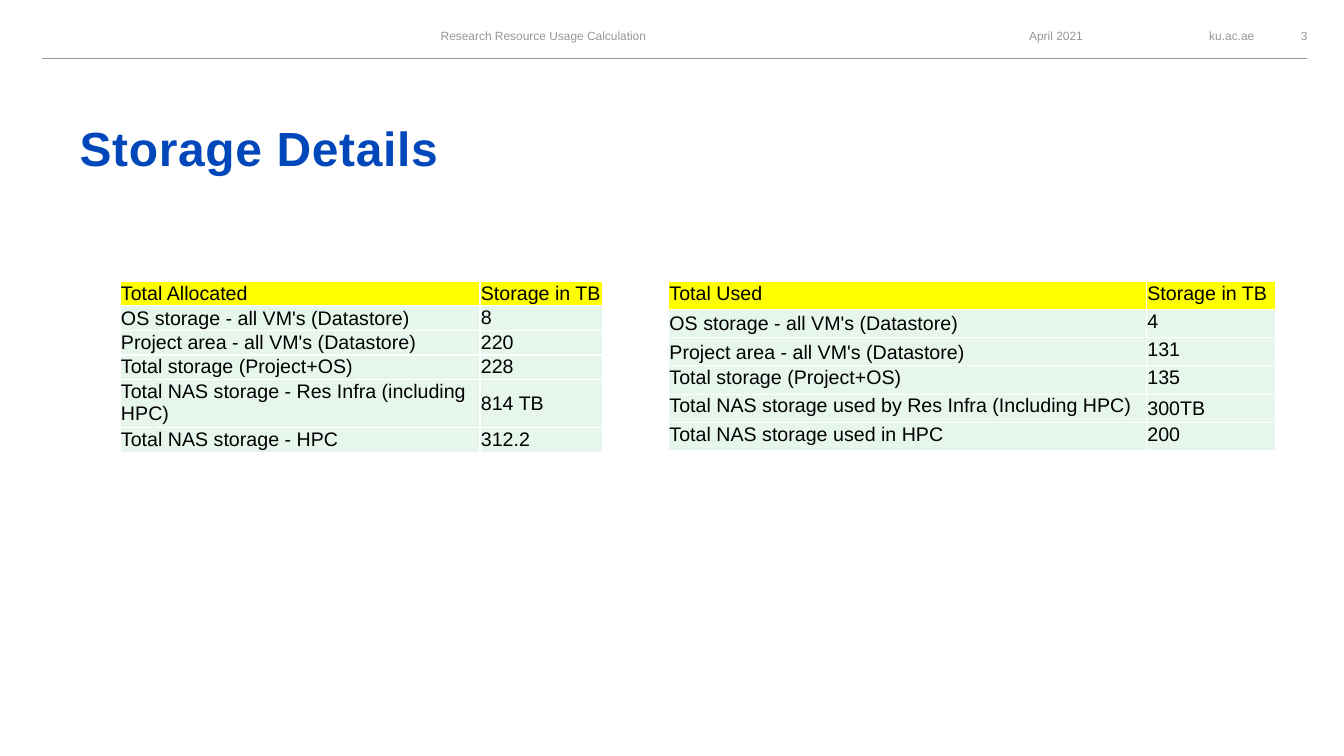
from lxml import etree
from pptx import Presentation
from pptx.dml.color import RGBColor
from pptx.enum.shapes import MSO_CONNECTOR
from pptx.enum.text import MSO_ANCHOR, PP_ALIGN
from pptx.oxml.ns import qn
from pptx.util import Inches, Pt

LEFT, CENTER, RIGHT = PP_ALIGN.LEFT, PP_ALIGN.CENTER, PP_ALIGN.RIGHT
TOP, MIDDLE, BOTTOM = MSO_ANCHOR.TOP, MSO_ANCHOR.MIDDLE, MSO_ANCHOR.BOTTOM
STRAIGHT = MSO_CONNECTOR.STRAIGHT

# Content
TITLE = "Storage Details"
HEADER = [  # text, left, width, alignment
    ("ku.ac.ae", 11.39, 1.05, RIGHT),
    ("April 2021", 8.84, 1.9, RIGHT),
    ("Research Resource Usage Calculation", 3.14, 4.5, CENTER),
    ("3", 12.65, 0.57, CENTER),
]
TABLES = [
    {
        "left": 1.19, "columns": (3.57, 1.22), "row_height": 0.2,
        "rows": [
            ("Total Allocated", "Storage in TB"),
            ("OS storage - all VM's (Datastore)", "8"),
            ("Project area - all VM's (Datastore)", "220"),
            ("Total storage (Project+OS)", "228"),
            ("Total NAS storage - Res Infra (including HPC)", "814 TB"),
            ("Total NAS storage - HPC", "312.2"),
        ],
    },
    {
        "left": 6.63, "columns": (4.74, 1.28), "row_height": 0.28,
        "rows": [
            ("Total Used", "Storage in TB"),
            ("OS storage - all VM's (Datastore)", "4"),
            ("Project area - all VM's (Datastore)", "131"),
            ("Total storage (Project+OS)", "135"),
            ("Total NAS storage used by Res Infra (Including HPC)", "300TB"),
            ("Total NAS storage used in HPC", "200"),
        ],
    },
]
TABLE_TOP = 2.79
MIDDLE_CELLS = {(1, 0), (2, 0), (4, 1)}  # row, column

THEME = {
    "font": "Arial",
    "blue": "0047BA", "gray": "96969A", "black": "000000",
    "border": "FFFFFF", "head_fill": "FFFF00", "body_fill": "E7F6EC",
    "title_size": 34.2, "header_size": 8.5, "table_size": 14,
}


def color(name):
    return RGBColor.from_string(THEME[name])


def write_text(frame, text, size, ink, align=LEFT, bold=False, spacing=0):
    paragraph = frame.paragraphs[0]
    paragraph.alignment = align
    run = paragraph.add_run()
    run.text = text
    run.font.name = THEME["font"]
    run.font.size = Pt(THEME[size])
    run.font.bold = bold
    run.font.color.rgb = color(ink)
    if spacing:
        run._r.get_or_add_rPr().set("spc", str(int(spacing * 100)))


def add_text(slide, text, left, top, width, height, anchor=MIDDLE, **text_format):
    frame = slide.shapes.add_textbox(
        Inches(left), Inches(top), Inches(width), Inches(height)).text_frame
    frame.word_wrap = True
    frame.vertical_anchor = anchor
    frame.margin_left = frame.margin_right = frame.margin_top = frame.margin_bottom = 0
    write_text(frame, text, **text_format)


def add_borders(cell):
    properties = cell._tc.get_or_add_tcPr()
    for side in ("a:lnL", "a:lnR", "a:lnT", "a:lnB"):
        line = etree.SubElement(properties, qn(side), w=str(Pt(1)))
        fill = etree.SubElement(line, qn("a:solidFill"))
        etree.SubElement(fill, qn("a:srgbClr"), val=THEME["border"])


def add_storage_table(slide, left, columns, row_height, rows):
    table = slide.shapes.add_table(
        len(rows), len(columns), Inches(left), Inches(TABLE_TOP),
        Inches(sum(columns)), Inches(row_height * len(rows))).table
    for column, width in zip(table.columns, columns):
        column.width = Inches(width)
    for row_index, values in enumerate(rows):
        table.rows[row_index].height = Inches(row_height)
        for column_index, value in enumerate(values):
            cell = table.cell(row_index, column_index)
            cell.margin_left = cell.margin_right = cell.margin_top = Inches(0.01)
            cell.margin_bottom = 0
            cell.vertical_anchor = MIDDLE if (row_index, column_index) in MIDDLE_CELLS else TOP
            add_borders(cell)
            cell.fill.solid()
            cell.fill.fore_color.rgb = color("body_fill" if row_index else "head_fill")
            write_text(cell.text_frame, value, size="table_size", ink="black")


def main():
    presentation = Presentation()
    presentation.slide_width = Inches(13.33)
    presentation.slide_height = Inches(7.5)
    slide = presentation.slides.add_slide(presentation.slide_layouts[6])

    # Header strip and rule
    for text, left, width, align in HEADER:
        add_text(slide, text, left, 0.22, width, 0.27,
                 size="header_size", ink="gray", align=align)
    rule = slide.shapes.add_connector(
        STRAIGHT, Inches(0.42), Inches(0.58), Inches(12.96), Inches(0.58))
    rule.line.color.rgb = color("gray")
    rule.line.width = Pt(0.75)
    etree.SubElement(rule._element.spPr, qn("a:effectLst"))

    # Title
    add_text(slide, TITLE, 0.79, 1.03, 4.24, 0.72, anchor=BOTTOM,
             size="title_size", ink="blue", bold=True, spacing=0.5)

    # Storage tables
    for table in TABLES:
        add_storage_table(slide, **table)

    presentation.save("out.pptx")


if __name__ == "__main__":
    main()
